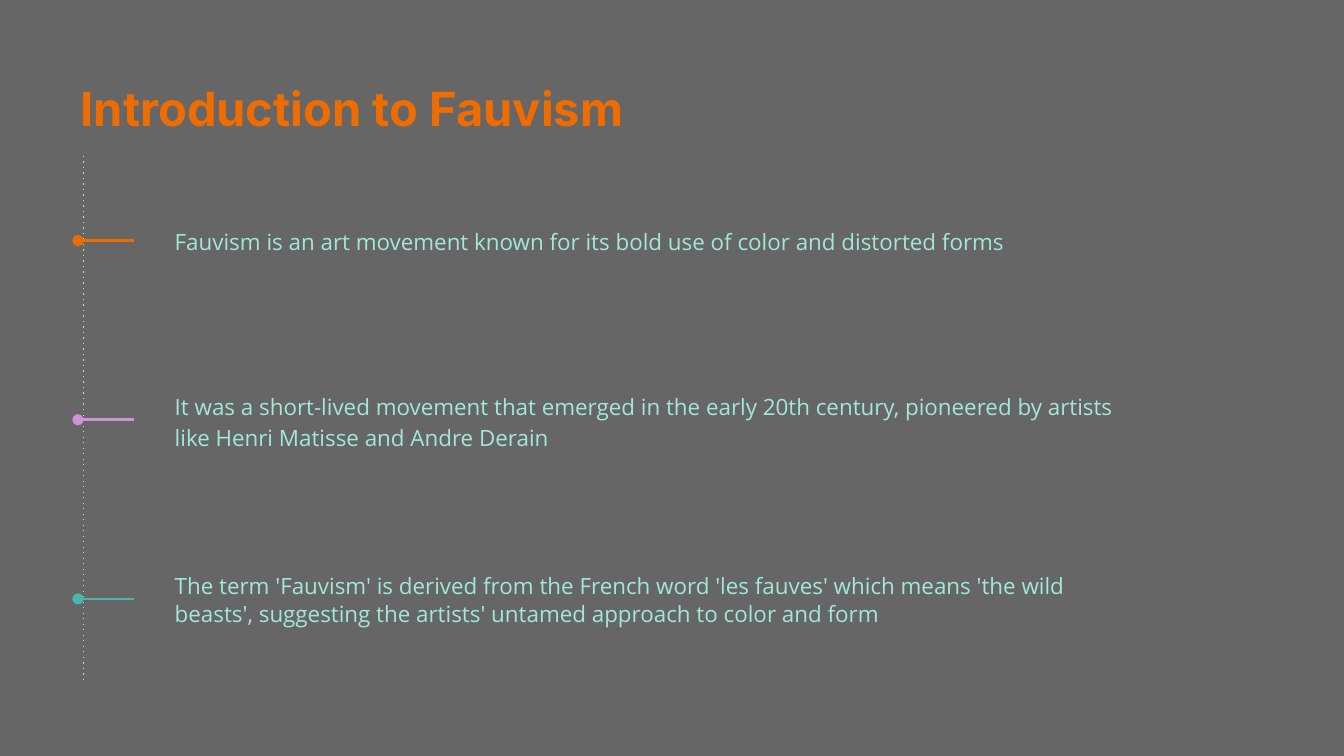
from lxml import etree
from pptx import Presentation
from pptx.dml.color import RGBColor
from pptx.enum.shapes import MSO_CONNECTOR as Connector
from pptx.enum.text import MSO_ANCHOR as Anchor, MSO_AUTO_SIZE as AutoSize, PP_ALIGN as Align
from pptx.oxml.ns import qn
from pptx.util import Inches, Pt

COLORS = {
    "background": "666666",
    "mint": "A1E8D9",
    "orange": "EF6C00",
    "lilac": "CE93D8",
    "teal": "4DB6AC",
}

# Text, line spacing and marker colour of each point
POINTS = [
    ("Fauvism is an art movement known for its bold use of color and distorted forms",
     1.05, "orange"),
    ("It was a short-lived movement that emerged in the early 20th century, "
     "pioneered by artists like Henri Matisse and Andre Derain", 1.15, "lilac"),
    ("The term 'Fauvism' is derived from the French word 'les fauves' which means "
     "'the wild beasts', suggesting the artists' untamed approach to color and form",
     1.05, "teal"),
]
POINT_LEFT, POINT_TOP, POINT_HEIGHT = 1, 1.25, 1.08
POINT_PITCH = 4 / 3
AXIS_X, MARKER_X = 0.62, 0.58


class TimelineSlide:
    """Holds the slide and the styles of its elements."""

    def __init__(self, slide):
        self.slide = slide
        fill = slide.background.fill
        fill.solid()
        fill.fore_color.rgb = self.color("background")

    def color(self, name):
        return RGBColor.from_string(COLORS[name])

    def text(self, holder, words, box, font_name, size, color,
             bold=False, inset=0.1, spacing=1.0, after=0):
        holder.left, holder.top, holder.width, holder.height = map(Inches, box)
        frame = holder.text_frame
        frame.text = words
        frame.word_wrap = True
        frame.auto_size = AutoSize.NONE
        frame.vertical_anchor = Anchor.MIDDLE
        frame.margin_left = Inches(inset)
        frame.margin_top = frame.margin_right = frame.margin_bottom = Inches(0.1)
        paragraph = frame.paragraphs[0]
        paragraph.alignment = Align.LEFT
        paragraph.line_spacing = spacing
        paragraph.space_before, paragraph.space_after = Pt(0), Pt(after)
        # No bullet and no hanging indent
        properties = paragraph._p.get_or_add_pPr()
        properties.set("marL", "0")
        properties.set("indent", "0")
        etree.SubElement(properties, qn("a:buNone"))
        font = paragraph.runs[0].font
        font.name, font.size, font.bold = font_name, Pt(size), bold
        font.color.rgb = self.color(color)
        return holder

    def line(self, start, end, color, width, dash=None, head=None):
        connector = self.slide.shapes.add_connector(
            Connector.STRAIGHT, *map(Inches, start + end))
        connector.line.width = Pt(width)
        connector.line.color.rgb = self.color(color)
        outline = connector.line._get_or_add_ln()
        if dash:
            etree.SubElement(outline, qn("a:prstDash"), val=dash)
        if head:
            etree.SubElement(outline, qn("a:headEnd"), type=head)
        etree.SubElement(connector._element.spPr, qn("a:effectLst"))
        return connector


def main():
    deck = Presentation()
    # 16:9 page
    deck.slide_width = Inches(10)
    deck.slide_height = deck.slide_width * 9 // 16
    slide = deck.slides.add_slide(deck.slide_layouts.get_by_name("Comparison"))
    page = TimelineSlide(slide)
    title, *point_holders = slide.placeholders
    spare = point_holders.pop()
    spare._element.getparent().remove(spare._element)

    # Title
    page.text(title, "Introduction to Fauvism", (0.5, 0.49, 9, 0.63),
              "Inter", 25.2, "orange", bold=True)

    # Dotted axis
    page.line((AXIS_X, 1.16), (AXIS_X, 5.08), "mint", 0.75, dash="dot")

    # Points, each joined to its marker
    for row, (holder, (words, spacing, color)) in enumerate(zip(point_holders, POINTS)):
        top = POINT_TOP + row * POINT_PITCH
        point = page.text(holder, words, (POINT_LEFT, top, 7.5, POINT_HEIGHT),
                          "Open Sans", 12, "mint", inset=0.3, spacing=spacing, after=10)
        middle = top + POINT_HEIGHT / 2
        marker = page.line((MARKER_X, middle), (POINT_LEFT, middle), color, 1.5, head="oval")
        marker.end_connect(point, 1)

    deck.save("out.pptx")


if __name__ == "__main__":
    main()
